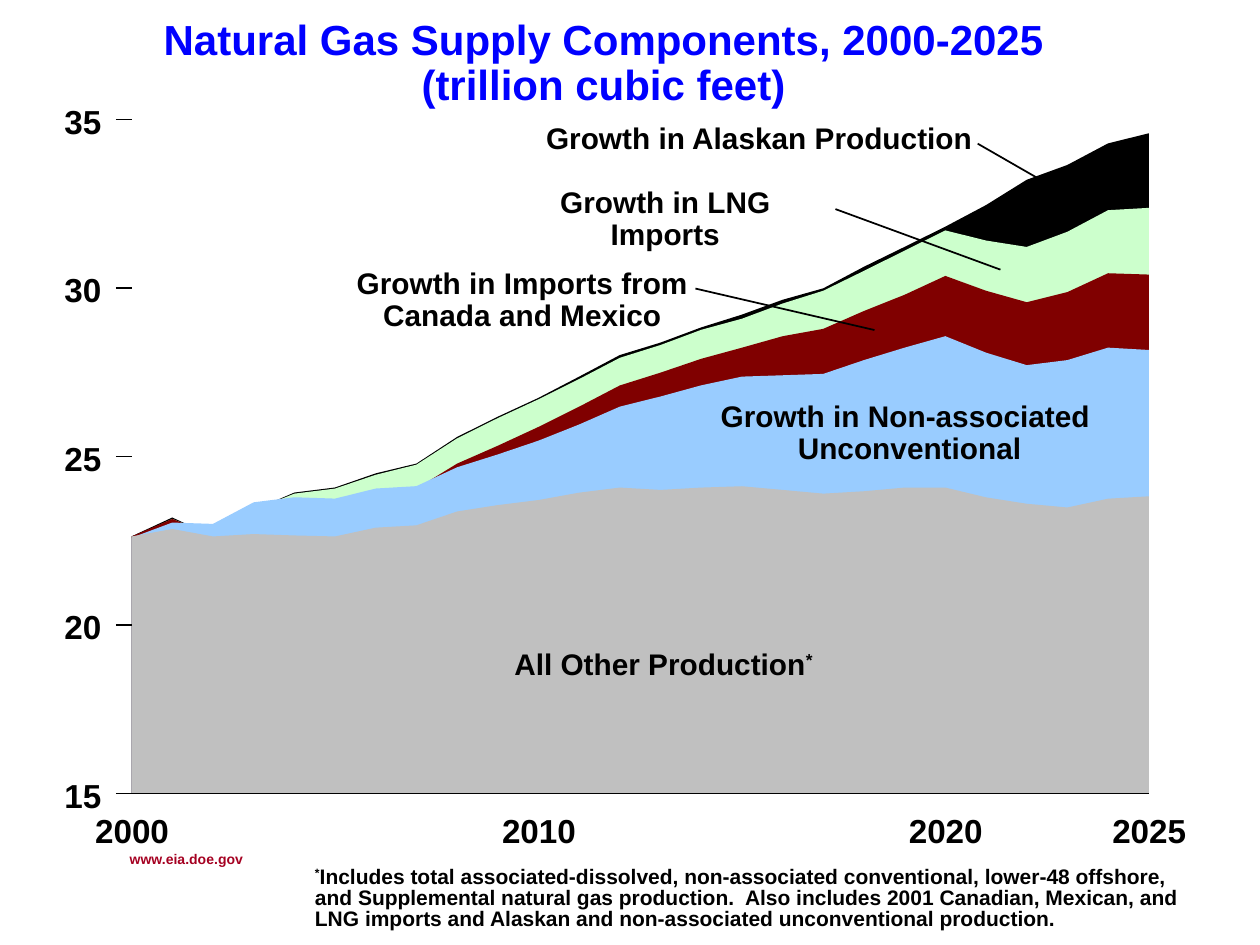
"""Build the natural gas supply slide with its stacked area outlines."""
from lxml.etree import SubElement
from pptx import Presentation
from pptx.dml.color import RGBColor
from pptx.enum.shapes import MSO_CONNECTOR as Connector
from pptx.enum.text import MSO_ANCHOR as Anchor, MSO_AUTO_SIZE as AutoSize, PP_ALIGN as Align
from pptx.oxml.ns import qn
from pptx.util import Pt

BLACK = RGBColor(0x00, 0x00, 0x00)
BLUE = RGBColor(0x00, 0x00, 0xFF)
CRIMSON = RGBColor(0xA5, 0x00, 0x21)
PALE_GREEN = RGBColor(0xCC, 0xFF, 0xCC)
MAROON = RGBColor(0x80, 0x00, 0x00)
SKY = RGBColor(0x99, 0xCC, 0xFF)
SILVER = RGBColor(0xC0, 0xC0, 0xC0)

FIRST_YEAR, LAST_YEAR, BASE_SUPPLY = 2000, 2025, 15
AXIS_LEFT, AXIS_BOTTOM = 75.2, 453.5
YEAR_STEP, UNIT_STEP = 23.25, 19.26

SUPPLY_TOPS = [
    (BLACK, [22.63, 23.19, 22.63, 23.41, 23.93, 24.08, 24.50, 24.79, 25.58,
             26.18, 26.74, 27.37, 28.01, 28.38, 28.83, 29.21, 29.65, 29.99,
             30.63, 31.22, 31.82, 32.46, 33.21, 33.65, 34.29, 34.59]),
    (PALE_GREEN, [22.59, 23.15, 22.66, 23.41, 23.90, 24.05, 24.46, 24.76, 25.54,
                  26.14, 26.70, 27.30, 27.93, 28.31, 28.76, 29.09, 29.54, 29.92,
                  30.51, 31.11, 31.71, 31.41, 31.22, 31.67, 32.31, 32.38]),
    (MAROON, [22.63, 23.15, 22.66, 23.37, 23.56, 23.60, 23.90, 24.05, 24.79,
              25.32, 25.88, 26.48, 27.11, 27.49, 27.90, 28.23, 28.57, 28.79,
              29.32, 29.80, 30.36, 29.92, 29.58, 29.88, 30.44, 30.40]),
    (SKY, [22.59, 23.04, 23.00, 23.64, 23.79, 23.75, 24.05, 24.12, 24.68,
           25.06, 25.47, 25.95, 26.48, 26.78, 27.11, 27.37, 27.41, 27.45,
           27.86, 28.23, 28.57, 28.08, 27.71, 27.86, 28.23, 28.16]),
    (SILVER, [22.63, 22.85, 22.63, 22.70, 22.66, 22.63, 22.89, 22.96, 23.37,
              23.56, 23.71, 23.93, 24.08, 24.01, 24.08, 24.12, 24.01, 23.90,
              23.97, 24.08, 24.08, 23.79, 23.60, 23.49, 23.75, 23.82]),
]

AREA_LABELS = [
    ((311.8, 70.6, 244.1, 18.7), ["Growth in Alaskan Production"]),
    ((411.8, 229.7, 216, 36.7), ["Growth in Non-associated ", "Unconventional"]),
    ((203.8, 153.4, 189.4, 36.7), ["Growth in Imports from", "Canada and Mexico"]),
    ((286.6, 107.3, 187.2, 18.7), ["Growth in LNG Imports"]),
    ((293.8, 371.5, 170.6, 18.7), ["All Other Production*"]),
]

LEADERS = [
    (477.4, 119.5, 571.7, 154.1),
    (558.7, 82.1, 616.3, 115.2),
    (397.4, 164.9, 499.7, 188.6),
]

FOOTNOTE = [
    "*Includes total associated-dissolved, non-associated conventional, lower-48 offshore,",
    "and Supplemental natural gas production.  Also includes 2001 Canadian, Mexican, and",
    "LNG imports and Alaskan and non-associated unconventional production.",
]


def year_x(year):
    """Return the horizontal place of a year in points."""
    return AXIS_LEFT + (year - FIRST_YEAR) * YEAR_STEP


def supply_y(supply):
    """Return the vertical place of a supply value in points."""
    return AXIS_BOTTOM - (supply - BASE_SUPPLY) * UNIT_STEP


def apply(target, values):
    """Set every attribute named in a dict of values."""
    for attribute, value in values.items():
        setattr(target, attribute, value)


def write_lines(frame, lines, size, color=BLACK, align=Align.CENTER,
                spacing=0.9, wrap=True, margins=(0, 0)):
    """Fill a text frame with bold lines, raising each asterisk."""
    across, down = (Pt(margin) for margin in margins)
    apply(frame, {"word_wrap": wrap, "auto_size": AutoSize.NONE,
                  "vertical_anchor": Anchor.TOP,
                  "margin_left": across, "margin_right": across,
                  "margin_top": down, "margin_bottom": down})
    for index, line in enumerate(lines):
        paragraph = frame.add_paragraph() if index else frame.paragraphs[0]
        apply(paragraph, {"alignment": align, "line_spacing": spacing})
        for part in filter(None, line.partition("*")):
            run = paragraph.add_run()
            run.text = part
            apply(run.font, {"name": "Arial", "size": Pt(size), "bold": True})
            run.font.color.rgb = color
            if part == "*":
                run.font._element.set("baseline", "30000")


def add_label(slide, box, lines, size, **style):
    """Add a text box at a place given in points."""
    label = slide.shapes.add_textbox(*map(Pt, box))
    write_lines(label.text_frame, lines, size, **style)


def add_line(slide, *ends):
    """Add a thin black line between two points."""
    line = slide.shapes.add_connector(Connector.STRAIGHT, *map(Pt, ends))
    line.line.color.rgb = BLACK
    line.line.width = Pt(1)
    SubElement(line._element.spPr, qn("a:effectLst"))


def add_area(slide, color, tops):
    """Add one filled area from the base line up to its yearly tops."""
    outline = [(year_x(FIRST_YEAR + index), supply_y(top)) for index, top in enumerate(tops)]
    outline += [(year_x(LAST_YEAR), AXIS_BOTTOM), (AXIS_LEFT, AXIS_BOTTOM)]
    start, *rest = [(Pt(x), Pt(y)) for x, y in outline]
    builder = slide.shapes.build_freeform(*start)
    builder.add_line_segments(rest, close=True)
    area = builder.convert_to_shape()
    area.shadow.inherit = False
    area.fill.solid()
    area.fill.fore_color.rgb = color
    area.line.fill.background()


def add_title(slide):
    """Place and format the title."""
    title = slide.shapes.title
    apply(title, {"left": Pt(54), "top": Pt(10.8), "width": Pt(581.8), "height": Pt(51.8)})
    write_lines(title.text_frame,
                ["Natural Gas Supply Components, 2000-2025 (trillion cubic feet)"],
                24, color=BLUE)


def add_axes(slide):
    """Add the supply ticks, the base line and all axis labels."""
    for supply in range(BASE_SUPPLY, 36, 5):
        y = supply_y(supply)
        add_line(slide, AXIS_LEFT - 9, y, AXIS_LEFT, y)
        add_label(slide, (36.7, y - 10.5, 21.2, 23), [str(supply)], 19,
                  align=Align.RIGHT, spacing=1.0, wrap=False)
    add_line(slide, AXIS_LEFT, AXIS_BOTTOM, year_x(LAST_YEAR), AXIS_BOTTOM)
    for year in (2000, 2010, 2020, 2025):
        add_label(slide, (year_x(year) - 21, 463, 42.5, 23), [str(year)], 19,
                  spacing=1.0, wrap=False)


def main():
    """Build and save the slide."""
    deck = Presentation()
    apply(deck, {"slide_width": Pt(720), "slide_height": Pt(540)})
    slide = deck.slides.add_slide(deck.slide_layouts[5])
    add_title(slide)
    for color, tops in SUPPLY_TOPS:
        add_area(slide, color, tops)
    add_axes(slide)
    for box, lines in AREA_LABELS:
        add_label(slide, box, lines, 17)
    for leader in LEADERS:
        add_line(slide, *leader)
    add_label(slide, (180, 495.4, 493.9, 36.7), FOOTNOTE, 12, align=Align.LEFT, spacing=0.85)
    add_label(slide, (67, 482.4, 155.5, 17.3), ["www.eia.doe.gov"], 8, color=CRIMSON,
              align=Align.LEFT, spacing=1.0, margins=(7.2, 3.6))
    deck.save("out.pptx")


if __name__ == "__main__":
    main()
